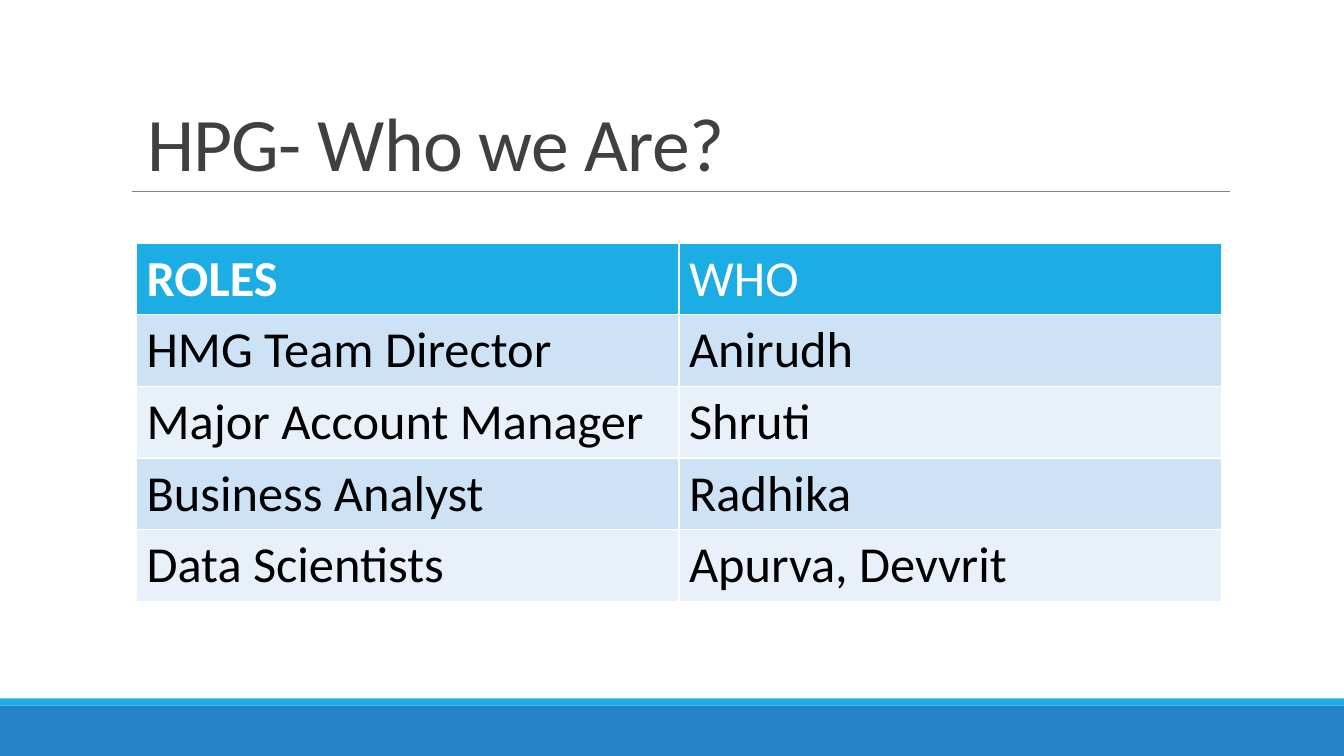
from lxml import etree
from pptx import Presentation
from pptx import util as u
from pptx.dml.color import RGBColor
from pptx.enum import shapes, text
from pptx.oxml import ns

COLORS = {
    "bar": "2683C6", "accent": "1CADE4", "rule": "808080", "title": "404040",
    "header_text": "FFFFFF", "body_text": "000000",
    "band_dark": "CDE3F5", "band_light": "E8F1FA",
}
ROLES = [
    ("ROLES", "WHO"),
    ("HMG Team Director", "Anirudh"),
    ("Major Account Manager", "Shruti"),
    ("Business Analyst", "Radhika"),
    ("Data Scientists", "Apurva, Devvrit"),
]
WIDTH, HEIGHT = 960, 540


def color(name):
    """Return the named colour."""
    return RGBColor.from_string(COLORS[name])


def apply_format(target, values):
    """Set each attribute of the target from a dict."""
    for name, value in values.items():
        setattr(target, name, value)


def write(paragraph, content, size, color_name, bold=False):
    """Add one formatted run and return it."""
    run = paragraph.add_run()
    run.text = content
    apply_format(run.font, {"name": "Calibri", "size": u.Pt(size), "bold": bold})
    run.font.color.rgb = color(color_name)
    return run


def add_bar(slide, top, height, color_name):
    """Add a full-width footer bar."""
    shape = slide.shapes.add_shape(
        shapes.MSO_SHAPE.RECTANGLE, 0, u.Pt(top), u.Pt(WIDTH), u.Pt(height))
    shape.shadow.inherit = False
    shape.fill.solid()
    shape.fill.fore_color.rgb = color(color_name)
    shape.line.fill.background()


def add_rule(slide, left, right, top):
    """Add the thin line below the title."""
    connector = slide.shapes.add_connector(
        shapes.MSO_CONNECTOR.STRAIGHT, u.Pt(left), u.Pt(top), u.Pt(right), u.Pt(top))
    connector.line.width = u.Pt(0.5)
    connector.line.color.rgb = color("rule")
    etree.SubElement(connector._element.spPr, ns.qn("a:effectLst"))


def add_title(slide, content):
    """Add the bottom-anchored title."""
    shape = slide.shapes.add_textbox(u.Pt(86.4), u.Pt(22.5), u.Pt(792), u.Pt(114.2))
    apply_format(shape.text_frame, {
        "word_wrap": True, "vertical_anchor": text.MSO_ANCHOR.BOTTOM})
    paragraph = shape.text_frame.paragraphs[0]
    paragraph.line_spacing = 0.85
    run = write(paragraph, content, 54, "title")
    run.font._element.set("spc", "-50")


def add_roles_table(slide, left, top, column_width, row_height):
    """Add the banded table of roles and people."""
    rows, columns = len(ROLES), len(ROLES[0])
    table = slide.shapes.add_table(
        rows, columns, u.Pt(left), u.Pt(top),
        u.Pt(column_width * columns), u.Pt(row_height * rows)).table
    for row, labels in enumerate(ROLES):
        fill = "accent" if row == 0 else ("band_light", "band_dark")[row % 2]
        text_color = "header_text" if row == 0 else "body_text"
        for column, label in enumerate(labels):
            cell = table.cell(row, column)
            cell.fill.solid()
            cell.fill.fore_color.rgb = color(fill)
            write(cell.text_frame.paragraphs[0], label, 36, text_color,
                  bold=(row, column) == (0, 0))


def main():
    """Build and save the slide."""
    presentation = Presentation()
    apply_format(presentation, {
        "slide_width": u.Pt(WIDTH), "slide_height": u.Pt(HEIGHT)})
    slide = presentation.slides.add_slide(presentation.slide_layouts[6])
    add_bar(slide, 504, 36, "bar")
    add_bar(slide, 498.8, 5.2, "accent")
    add_rule(slide, 94.3, 878.8, 136.8)
    add_title(slide, " HPG- Who we Are?")
    add_roles_table(slide, 97.5, 173.5, 387.5, 51.2)
    presentation.save("out.pptx")


if __name__ == "__main__":
    main()
